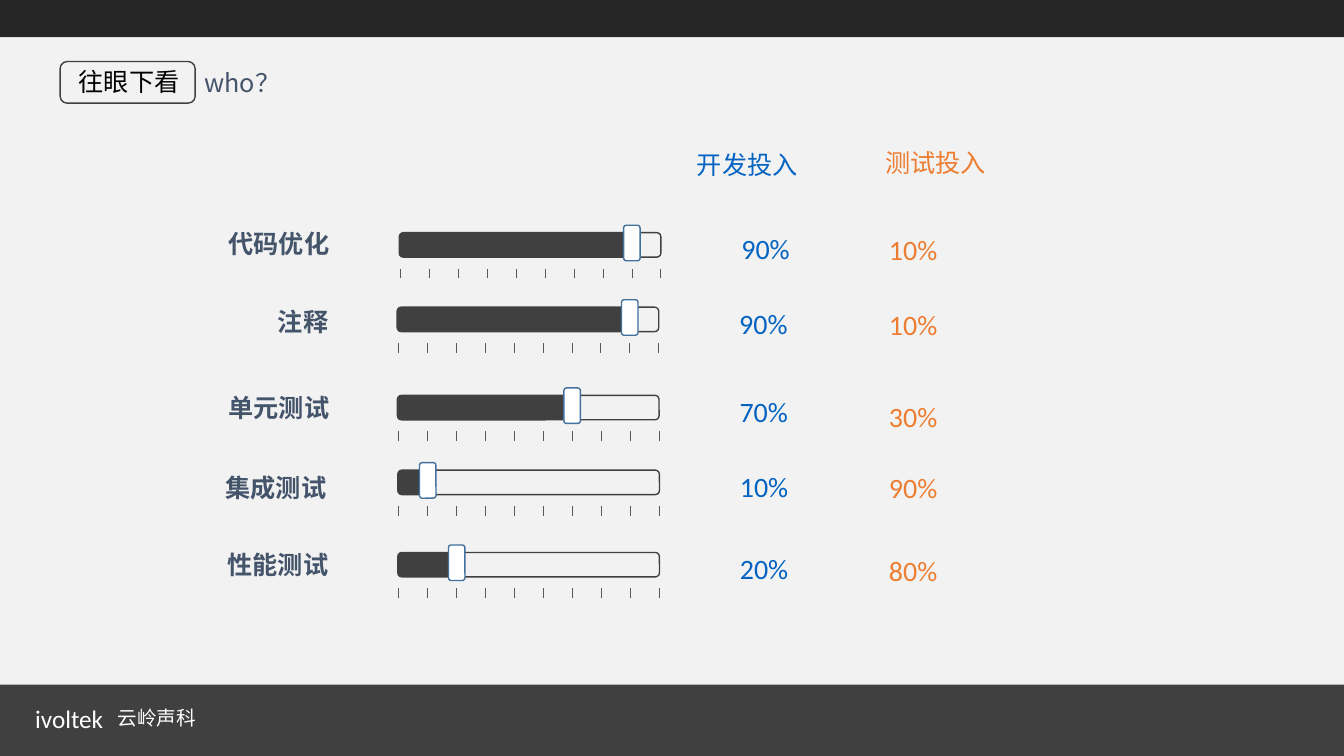
import pptx
import pptx.util
import pptx.dml.color
import pptx.enum.shapes
import pptx.enum.text
import pptx.oxml.ns
import lxml.etree

Pt = pptx.util.Pt
SHAPE = pptx.enum.shapes.MSO_SHAPE

COLORS = {
    "page": "F2F2F2", "header": "262626", "dark": "404040", "tick": "595959",
    "knob": "FFFFFF", "knob_edge": "41719C", "slate": "44546A",
    "blue": "0563C1", "orange": "ED7D31", "black": "000000", "white": "FFFFFF",
}
CJK = "Noto Sans CJK SC"
STYLES = {
    "title": ({"name": "Calibri", "size": Pt(18), "bold": False}, "black"),
    "question": ({"name": CJK, "size": Pt(18)}, "slate"),
    "label": ({"name": CJK, "size": Pt(18), "bold": True}, "slate"),
    "dev_head": ({"name": CJK, "size": Pt(18)}, "blue"),
    "test_head": ({"name": CJK, "size": Pt(18)}, "orange"),
    "dev_share": ({"name": "Calibri", "size": Pt(20)}, "blue"),
    "test_share": ({"name": "Calibri", "size": Pt(20)}, "orange"),
    "company": ({"name": "Calibri", "size": Pt(18)}, "white"),
    "company_cn": ({"name": CJK, "size": Pt(14)}, "white"),
}
TITLE = ("往眼下看", "title", 49, 43.9, 95, 29)
CAPTIONS = [
    ("who？", "question", 139, 44.6, 317, 29),
    ("开发投入", "dev_head", 491, 103, 94, 29),
    ("测试投入", "test_head", 625.7, 101.5, 94, 29),
    ("ivoltek", "company", 18, 499, 70, 29),
    ("云岭声科", "company_cn", 77, 501, 131, 24.5),
]
# name, development share, track left, track top, name left, name top, test share top
ROWS = [
    ("代码优化", 90, 285.3, 166.2, 156.2, 159.8, 162.7),
    ("注释", 90, 283.8, 219.4, 191.5, 215.3, 216),
    ("单元测试", 70, 284, 282.4, 156.2, 276.5, 281.5),
    ("集成测试", 10, 284.3, 335.8, 154.1, 334.1, 332.6),
    ("性能测试", 20, 284.3, 394.6, 155.5, 388.8, 391.7),
]
TRACK_W, TRACK_H = 187, 17.5
KNOB_W, KNOB_H, KNOB_RISE = 11.8, 25.4, 5.3
TICKS, TICK_STEP, TICK_H, TICK_DROP = 10, 20.7, 7, 25.7
DEV_OFFSET, DEV_RISE, TEST_LEFT = 237.4, 4.2, 628.2


def color(key):
    return pptx.dml.color.RGBColor.from_string(COLORS[key])


def write(holder, text, style):
    frame = holder.text_frame
    formats = {
        "word_wrap": True,
        "auto_size": pptx.enum.text.MSO_AUTO_SIZE.NONE,
        "vertical_anchor": pptx.enum.text.MSO_ANCHOR.TOP,
        "margin_left": Pt(7.2), "margin_right": Pt(7.2),
        "margin_top": Pt(3.6), "margin_bottom": Pt(3.6),
    }
    for key, value in formats.items():
        setattr(frame, key, value)
    paragraph = frame.paragraphs[0]
    paragraph.alignment = pptx.enum.text.PP_ALIGN.LEFT
    run = paragraph.add_run()
    run.text = text
    font_formats, ink = STYLES[style]
    for key, value in font_formats.items():
        setattr(run.font, key, value)
    run.font.color.rgb = color(ink)
    east_asian = lxml.etree.SubElement(run.font._element, pptx.oxml.ns.qn("a:ea"))
    east_asian.set("typeface", CJK)


def add_text(slide, text, style, left, top, width, height):
    write(slide.shapes.add_textbox(Pt(left), Pt(top), Pt(width), Pt(height)), text, style)


def add_block(slide, preset, left, top, width, height, fill=None, line=None, corner=0.167):
    block = slide.shapes.add_shape(preset, Pt(left), Pt(top), Pt(width), Pt(height))
    block.shadow.inherit = False
    if preset == SHAPE.ROUNDED_RECTANGLE:
        block.adjustments[0] = corner
    if fill:
        block.fill.solid()
        block.fill.fore_color.rgb = color(fill)
    else:
        block.fill.background()
    if line:
        block.line.color.rgb = color(line)
        block.line.width = Pt(1)
    else:
        block.line.fill.background()


def add_tick(slide, x, top):
    tick = slide.shapes.add_connector(
        pptx.enum.shapes.MSO_CONNECTOR.STRAIGHT, Pt(x), Pt(top + TICK_H), Pt(x), Pt(top))
    tick.line.color.rgb = color("tick")
    tick.line.width = Pt(0.5)
    lxml.etree.SubElement(tick._element.spPr, pptx.oxml.ns.qn("a:effectLst"))


def add_slider(slide, share, left, top):
    rounded = SHAPE.ROUNDED_RECTANGLE
    first_tick = left + 0.7
    knob_x = first_tick + round(share * (TICKS - 1) / 100) * TICK_STEP
    add_block(slide, rounded, left, top, TRACK_W, TRACK_H, line="dark")
    add_block(slide, rounded, left, top, knob_x - left, TRACK_H, fill="dark")
    add_block(slide, rounded, knob_x - KNOB_W / 2, top - KNOB_RISE, KNOB_W, KNOB_H,
              fill="knob", line="knob_edge")
    for index in range(TICKS):
        add_tick(slide, first_tick + index * TICK_STEP, top + TICK_DROP)


def main():
    deck = pptx.Presentation()
    deck.slide_width, deck.slide_height = Pt(960.5), Pt(540)
    slide = deck.slides.add_slide(deck.slide_layouts[5])
    slide.background.fill.solid()
    slide.background.fill.fore_color.rgb = color("page")

    add_block(slide, SHAPE.RECTANGLE, 0, 489, 960.5, 51, fill="dark")
    add_block(slide, SHAPE.RECTANGLE, 0, 0, 960.5, 26.6, fill="header")
    add_block(slide, SHAPE.ROUNDED_RECTANGLE, 43, 44, 96.5, 29.7, line="dark")

    text, style, *box = TITLE
    title = slide.shapes.title
    for key, value in zip(("left", "top", "width", "height"), box):
        setattr(title, key, Pt(value))
    write(title, text, style)

    for caption in CAPTIONS:
        add_text(slide, *caption)

    for name, share, left, top, name_left, name_top, test_top in ROWS:
        add_text(slide, name, "label", name_left, name_top, 95, 29)
        add_slider(slide, share, left, top)
        add_text(slide, f"{share}%", "dev_share", left + DEV_OFFSET, top - DEV_RISE, 70, 31.5)
        add_text(slide, f"{100 - share}%", "test_share", TEST_LEFT, test_top, 70, 31.5)

    deck.save("out.pptx")


if __name__ == "__main__":
    main()
